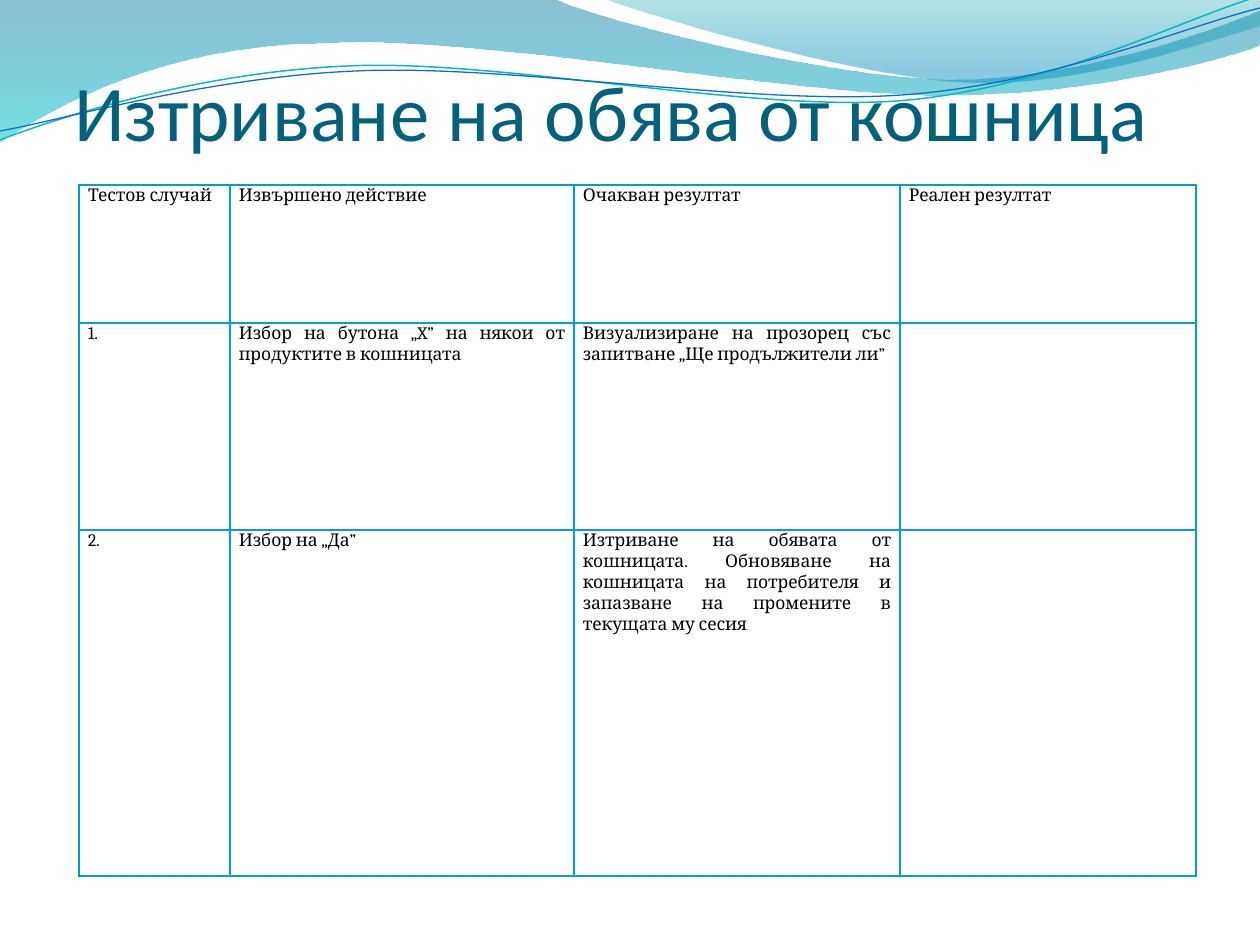
from math import cos, radians, sin

from lxml import etree
from pptx import Presentation
from pptx.dml.color import RGBColor
from pptx.enum.text import MSO_ANCHOR, PP_ALIGN
from pptx.oxml.ns import qn
from pptx.util import Pt

SCALE = 914400 / 126
TILT = 2.7
CENTER, JUSTIFY = PP_ALIGN.CENTER, PP_ALIGN.JUSTIFY
BOTTOM = MSO_ANCHOR.BOTTOM

BLACK = RGBColor(0x00, 0x00, 0x00)
TITLE = RGBColor(0x04, 0x61, 0x7B)
BORDER = RGBColor(0x00, 0x9D, 0xD9)
TEAL = RGBColor(0x0A, 0xB8, 0xBF)
BLUE = RGBColor(0x0F, 0x6F, 0xC6)
DEEP = RGBColor(0x00, 0x74, 0xA1)
AQUA = RGBColor(0x00, 0xC6, 0xCF)
SEA = RGBColor(0x00, 0xA1, 0xA9)
SKY = RGBColor(0x00, 0x8B, 0xBF)

# Wave outlines in px: a pair is a line, six numbers are a Bezier curve.
LEFT_WAVE = [
    (0, 0), (554, -1), (600, 21, 837, 79, 955, 79),
    (1075, 79, 1207, 33, 1260, 11), (1261, 45),
    (1239, 55, 1096, 96, 940, 95), (784, 95, 481, 35, 324, 43),
    (163, 45, 58, 105, -1, 142), (0, 0)]
RIGHT_WAVE = [
    (604, -1), (641, 14, 859, 78, 969, 82),
    (1079, 87, 1211, 40, 1260, 26), (1260, 0), (604, -1)]
TEAL_LINE = [
    (0, 140), (60, 117, 199, 72, 349, 66),
    (498, 59, 747, 112, 898, 101), (1050, 89, 1182, 19, 1257, -3)]
BLUE_LINE = [
    (0, 131), (59, 121, 207, 77, 357, 71),
    (508, 64, 752, 106, 903, 95), (1053, 84, 1186, 26, 1260, 8)]

COLS = [151, 344, 326, 296]
ROWS = [138, 207, 346]
CELLS = [
    ["Тестов случай", "Извършено действие", "Очакван резултат",
     "Реален резултат"],
    ["1.", "Избор на бутона „X” на някои от продуктите в кошницата",
     "Визуализиране на прозорец със запитване „Ще продължители ли”", ""],
    ["2.", "Избор на „Да”",
     "Изтриване на обявата от кошницата. Обновяване на кошницата на "
     "потребителя и запазване на промените в текущата му сесия", ""],
]


def px(n):
    return round(n * SCALE)


def turn(parts, mid, angle):
    """Rotate every point of the parts clockwise about mid."""
    c, s = cos(radians(angle)), sin(radians(angle))
    turned = []
    for part in parts:
        coords = []
        for x, y in zip(part[::2], part[1::2]):
            dx, dy = x - mid[0], y - mid[1]
            coords += [mid[0] + dx * c - dy * s, mid[1] + dx * s + dy * c]
        turned.append(tuple(coords))
    return turned


def add_path(slide, parts, close):
    """Draw the nodes as lines, then join each curve's three into a Bezier."""
    nodes = [(px(x), px(y)) for part in parts
             for x, y in zip(part[::2], part[1::2])]
    pen = slide.shapes.build_freeform(*nodes[0], scale=1.0)
    pen.add_line_segments(nodes[1:], close=close)
    shape = pen.convert_to_shape()
    shape.shadow.inherit = False
    lines = iter(list(shape._element.iter(qn("a:lnTo"))))
    for part in parts[1:]:
        first = next(lines)
        if len(part) == 6:
            first.tag = qn("a:cubicBezTo")
            for line in (next(lines), next(lines)):
                first.append(line[0])
                line.getparent().remove(line)
    return shape


def add_wave(slide, parts, stops):
    """Stops are (position, colour, opacity in percent)."""
    shape = add_path(slide, parts, True)
    shape.line.fill.background()
    fill = shape.fill
    fill.gradient()
    fill.gradient_angle = 270
    for stop, (pos, color, _) in zip(fill.gradient_stops, stops):
        stop.position = pos
        stop.color.rgb = color
    tints = shape._element.spPr.iter(qn("a:srgbClr"))
    for tint, (_, _, alpha) in zip(tints, stops):
        etree.SubElement(tint, qn("a:alpha"), val=str(alpha * 1000))


def add_curve(slide, parts, mid, color, width):
    shape = add_path(slide, turn(parts, mid, TILT), False)
    shape.rotation = 360 - TILT
    shape.fill.background()
    shape.line.color.rgb = color
    shape.line.width = Pt(width)


def add_run(para, text, font, size, color):
    run = para.add_run()
    run.text = text
    run.font.name = font
    run.font.size = Pt(size)
    run.font.color.rgb = color


def add_title(slide, text):
    box = slide.shapes.add_textbox(px(44), 0, px(1134), px(157))
    frame = box.text_frame
    frame.word_wrap = True
    frame.vertical_anchor = BOTTOM
    frame.margin_left = frame.margin_right = frame.margin_bottom = 0
    frame.margin_top = px(6)
    para = frame.paragraphs[0]
    para.alignment = CENTER
    add_run(para, text, "Calibri", 45, TITLE)


def set_border(cell):
    props = cell._tc.get_or_add_tcPr()
    for side in ("lnL", "lnR", "lnT", "lnB"):
        line = etree.SubElement(props, qn("a:" + side), w=str(Pt(1)))
        fill = etree.SubElement(line, qn("a:solidFill"))
        etree.SubElement(fill, qn("a:srgbClr"), val=str(BORDER))


def fill_cell(cell, text):
    set_border(cell)
    cell.fill.background()
    cell.margin_left = cell.margin_right = px(9)
    cell.margin_top = cell.margin_bottom = 0
    if text:
        para = cell.text_frame.paragraphs[0]
        para.alignment = JUSTIFY
        para.line_spacing = Pt(12)
        add_run(para, text, "Cambria", 10, BLACK)


def add_grid(slide):
    frame = slide.shapes.add_table(
        len(ROWS), len(COLS), px(79), px(185), px(sum(COLS)), px(sum(ROWS)))
    table = frame.table
    table.first_row = table.horz_banding = False
    for col, width in zip(table.columns, COLS):
        col.width = px(width)
    for row, height, texts in zip(table.rows, ROWS, CELLS):
        row.height = px(height)
        for cell, text in zip(row.cells, texts):
            fill_cell(cell, text)


def main():
    deck = Presentation()
    deck.slide_width, deck.slide_height = px(1260), px(945)
    slide = deck.slides.add_slide(deck.slide_layouts[6])
    add_wave(slide, LEFT_WAVE, [(0, DEEP, 45), (1, AQUA, 55)])
    add_wave(slide, RIGHT_WAVE, [(0, SEA, 30), (0.8, SKY, 45)])
    add_curve(slide, TEAL_LINE, (629, 72), TEAL, 0.85)
    add_curve(slide, BLUE_LINE, (630, 74), BLUE, 0.75)
    add_title(slide, "Изтриване на обява от кошница")
    add_grid(slide)
    deck.save("out.pptx")


if __name__ == "__main__":
    main()
